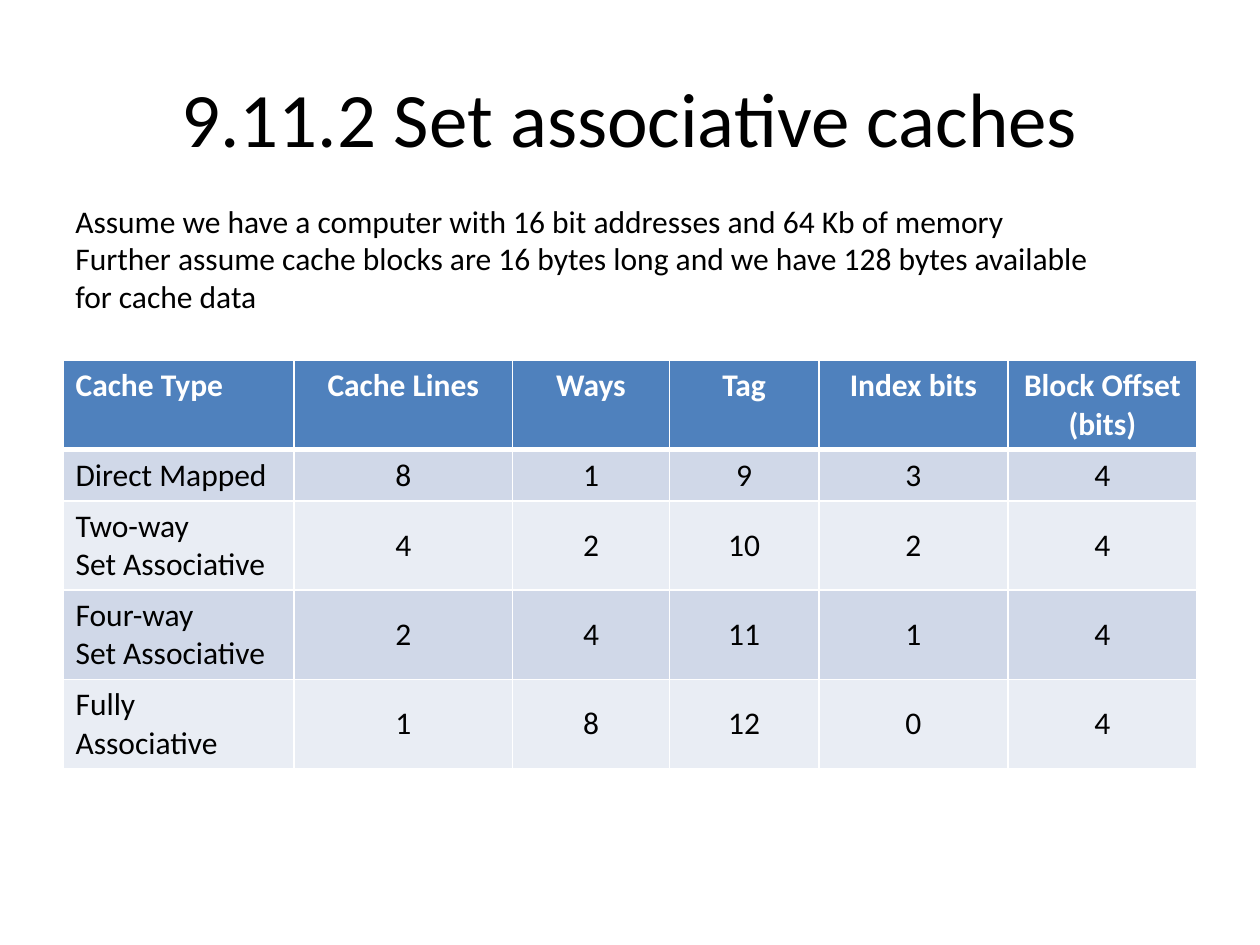
from dataclasses import dataclass

from lxml import etree
from pptx import Presentation
from pptx.dml.color import RGBColor
from pptx.enum.text import MSO_ANCHOR, PP_ALIGN
from pptx.oxml.ns import qn
from pptx.util import Pt

LEFT, CENTER = PP_ALIGN.LEFT, PP_ALIGN.CENTER
TOP, MIDDLE = MSO_ANCHOR.TOP, MSO_ANCHOR.MIDDLE

FONT = "Calibri"
BLACK = RGBColor(0x00, 0x00, 0x00)
WHITE = RGBColor(0xFF, 0xFF, 0xFF)
HEADER_BLUE = RGBColor(0x4F, 0x81, 0xBD)
BANDS = (RGBColor(0xD0, 0xD8, 0xE8), RGBColor(0xE9, 0xED, 0xF4))

COLUMN_WIDTHS = (132, 125, 89.5, 85.5, 108, 108)
HEADER_HEIGHT = 51
HEADINGS = ("Cache Type", "Cache Lines", "Ways", "Tag", "Index bits",
            "Block Offset (bits)")


@dataclass(frozen=True)
class TextBlock:
    text: str
    left: float
    top: float
    width: float
    height: float
    size: float
    align: PP_ALIGN
    anchor: MSO_ANCHOR
    wrap: bool


@dataclass(frozen=True)
class CacheRow:
    cache_type: str
    numbers: tuple[int, ...]  # lines, ways, tag, index bits, offset bits
    height: float


TITLE = TextBlock("9.11.2 Set associative caches", 36, 21.6, 648, 90,
                  44, CENTER, MIDDLE, True)
ASSUMPTIONS = TextBlock(
    "Assume we have a computer with 16 bit addresses and 64 Kb of memory\n"
    "Further assume cache blocks are 16 bytes long and we have 128 bytes available\n"
    "for cache data", 36, 111.6, 604, 72.7, 18, LEFT, TOP, False)
CACHES = (
    CacheRow("Direct Mapped", (8, 1, 9, 3, 4), 29.2),
    CacheRow("Two-way\nSet Associative", (4, 2, 10, 2, 4), 51),
    CacheRow("Four-way\nSet Associative", (2, 4, 11, 1, 4), 51),
    CacheRow("Fully Associative", (1, 8, 12, 0, 4), 51),
)


def write_text(frame, text: str, size: float, color: RGBColor,
               align: PP_ALIGN, bold: bool = False) -> None:
    frame.text = text
    for paragraph in frame.paragraphs:
        paragraph.alignment = align
        font = paragraph.font
        font.name, font.size, font.bold = FONT, Pt(size), bold
        font.color.rgb = color


def draw_text(slide, block: TextBlock) -> None:
    box = slide.shapes.add_textbox(Pt(block.left), Pt(block.top),
                                   Pt(block.width), Pt(block.height))
    frame = box.text_frame
    frame.word_wrap = block.wrap
    frame.vertical_anchor = block.anchor
    write_text(frame, block.text, block.size, BLACK, block.align)


def set_borders(cell, widths: dict[str, float]) -> None:
    properties = cell._tc.get_or_add_tcPr()
    for side, width in widths.items():
        line = etree.SubElement(properties, qn(f"a:ln{side}"), w=str(Pt(width)))
        fill = etree.SubElement(line, qn("a:solidFill"))
        etree.SubElement(fill, qn("a:srgbClr"), val=str(WHITE))


def draw_cell(cell, text: str, row: int, column: int) -> None:
    is_header = row == 0
    set_borders(cell, {"L": 1, "R": 1, "T": 3 if row == 1 else 1,
                       "B": 3 if is_header else 1})
    cell.fill.solid()
    cell.fill.fore_color.rgb = HEADER_BLUE if is_header else BANDS[(row - 1) % 2]
    cell.vertical_anchor = TOP if is_header or column == 0 else MIDDLE
    write_text(cell.text_frame, text, 18, WHITE if is_header else BLACK,
               LEFT if column == 0 else CENTER, is_header)


def draw_cache_table(slide, left: float, top: float) -> None:
    heights = (HEADER_HEIGHT, *(cache.height for cache in CACHES))
    table = slide.shapes.add_table(
        len(heights), len(COLUMN_WIDTHS), Pt(left), Pt(top),
        Pt(sum(COLUMN_WIDTHS)), Pt(sum(heights))).table
    for column, width in zip(table.columns, COLUMN_WIDTHS):
        column.width = Pt(width)
    for row, height in zip(table.rows, heights):
        row.height = Pt(height)

    contents = (HEADINGS, *((cache.cache_type, *map(str, cache.numbers))
                            for cache in CACHES))
    for row, texts in enumerate(contents):
        for column, text in enumerate(texts):
            draw_cell(table.cell(row, column), text, row, column)


def main() -> None:
    presentation = Presentation()
    presentation.slide_width, presentation.slide_height = Pt(720), Pt(540)
    slide = presentation.slides.add_slide(presentation.slide_layouts[6])

    # Title
    draw_text(slide, TITLE)
    # Comparison of cache types
    draw_cache_table(slide, 36, 206)
    # Assumptions above the table
    draw_text(slide, ASSUMPTIONS)

    presentation.save("out.pptx")


if __name__ == "__main__":
    main()
